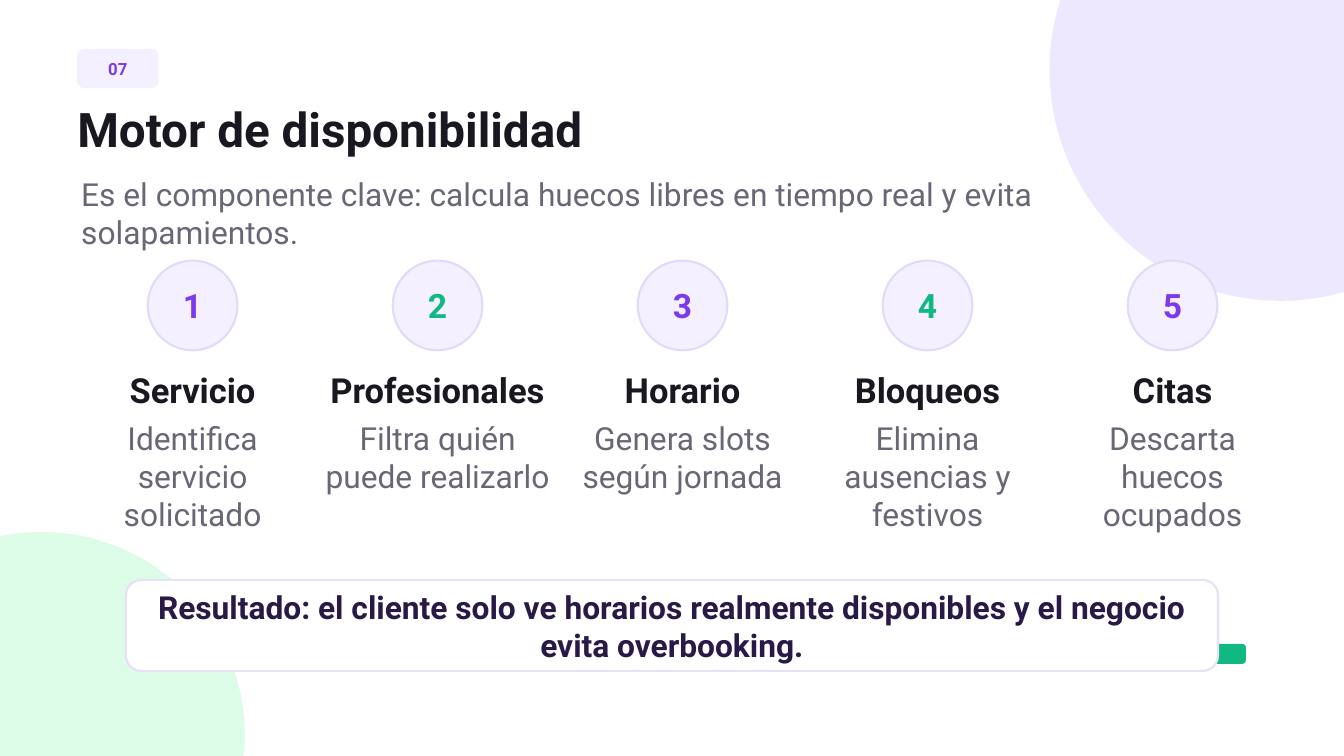
from lxml import etree
from pptx import Presentation
from pptx import util as u
from pptx.dml.color import RGBColor
from pptx.enum import shapes, text
from pptx.oxml.ns import qn

WHITE = RGBColor(0xFF, 0xFF, 0xFF)
INK = RGBColor(0x19, 0x18, 0x21)
GRAY = RGBColor(0x69, 0x67, 0x76)
PURPLE = RGBColor(0x7C, 0x3A, 0xED)
GREEN = RGBColor(0x10, 0xB9, 0x81)
DEEP_PURPLE = RGBColor(0x29, 0x19, 0x47)
LILAC = RGBColor(0xEE, 0xE8, 0xFF)
MINT = RGBColor(0xDC, 0xFC, 0xE7)
PALE = RGBColor(0xF4, 0xF0, 0xFF)
RING = RGBColor(0xE2, 0xDA, 0xF8)
CARD_LINE = RGBColor(0xE6, 0xE1, 0xF4)

STEPS = [
    ("Servicio", "Identifica servicio solicitado"),
    ("Profesionales", "Filtra quién puede realizarlo"),
    ("Horario", "Genera slots según jornada"),
    ("Bloqueos", "Elimina ausencias y festivos"),
    ("Citas", "Descarta huecos ocupados"),
]


def write(frame, words, size, color, bold=False, align=text.PP_ALIGN.LEFT,
          anchor=text.MSO_ANCHOR.TOP, inset=0, font="Roboto"):
    """Put one formatted paragraph into a text frame."""
    frame.word_wrap = True
    frame.auto_size = text.MSO_AUTO_SIZE.NONE
    frame.vertical_anchor = anchor
    frame.margin_left = frame.margin_right = u.Cm(inset)
    frame.margin_top = frame.margin_bottom = u.Cm(inset)
    paragraph = frame.paragraphs[0]
    paragraph.alignment = align
    paragraph.line_spacing = u.Pt(size * 1.2)
    paragraph.space_before = u.Pt(0)
    run = paragraph.add_run()
    run.text = words
    run.font.name = font
    run.font.size = u.Pt(size)
    run.font.bold = bold
    run.font.color.rgb = color
    return paragraph


class Deck:
    """Holds the presentation, its style and the current slide."""

    ROUNDING = 0.17
    LINE_WIDTH = 2.25

    def __init__(self):
        self.file = Presentation()
        self.file.slide_width = u.Cm(50.8)
        self.file.slide_height = u.Cm(50.8 * 9 / 16)
        self.slide = self.file.slides.add_slide(self.file.slide_layouts[1])

    def place(self, placeholder, box, words, **style):
        left, top, width, height = map(u.Cm, box)
        placeholder.left, placeholder.top = left, top
        placeholder.width, placeholder.height = width, height
        return write(placeholder.text_frame, words, **style)

    def title(self, box, words):
        self.place(self.slide.shapes.title, box, words,
                   size=51, color=INK, bold=True)

    def lead(self, box, words):
        paragraph = self.place(self.slide.placeholders[1], box, words,
                               size=34, color=GRAY)
        properties = paragraph._p.get_or_add_pPr()
        properties.set("marL", "0")
        properties.set("indent", "0")
        etree.SubElement(properties, qn("a:buNone"))

    def label(self, box, words, **style):
        area = self.slide.shapes.add_textbox(*map(u.Cm, box))
        write(area.text_frame, words, align=text.PP_ALIGN.CENTER, **style)

    def shape(self, kind, box, fill, line=None, words=None, **style):
        figure = self.slide.shapes.add_shape(kind, *map(u.Cm, box))
        figure.shadow.inherit = False
        figure.fill.solid()
        figure.fill.fore_color.rgb = fill
        if line is None:
            figure.line.fill.background()
        else:
            figure.line.color.rgb = line
            figure.line.width = u.Pt(self.LINE_WIDTH)
        if words:
            write(figure.text_frame, words, bold=True, inset=0.15,
                  align=text.PP_ALIGN.CENTER,
                  anchor=text.MSO_ANCHOR.MIDDLE, **style)
        return figure

    def circle(self, left, top, diameter, fill, **extra):
        self.shape(shapes.MSO_SHAPE.OVAL, (left, top, diameter, diameter),
                   fill, **extra)

    def rounded(self, box, fill, **extra):
        figure = self.shape(shapes.MSO_SHAPE.ROUNDED_RECTANGLE, box, fill, **extra)
        figure.adjustments[0] = self.ROUNDING

    def step(self, number, center, heading, detail):
        accent = PURPLE if number % 2 else GREEN
        diameter, width = 3.39, 8.64
        left = center - width / 2
        self.circle(center - diameter / 2, 9.85, diameter, PALE, line=RING,
                    words=str(number), size=36, color=accent)
        self.label((left, 13.95, width, 1.55), heading,
                   size=37, color=INK, bold=True)
        self.label((left, 15.82, width, 4.3), detail, size=34, color=GRAY)


def main():
    deck = Deck()

    # Background decoration
    deck.circle(39.67, -6.1, 17.47, LILAC)
    deck.circle(-6.1, 20.11, 15.35, MINT)
    deck.rounded((41.8, 24.34, 5.29, 0.75), GREEN)

    # Header
    deck.rounded((2.92, 1.85, 3.07, 1.48), PALE,
                 words="07", size=18, color=PURPLE)
    deck.title((2.92, 3.78, 40.2, 2.2), "Motor de disponibilidad")
    deck.lead((3.07, 6.6, 43.43, 2.9),
              "Es el componente clave: calcula huecos libres en tiempo real "
              "y evita solapamientos.")

    # Five steps on an even pitch
    first_center, pitch = 7.28, 9.26
    for index, (heading, detail) in enumerate(STEPS):
        deck.step(index + 1, first_center + index * pitch, heading, detail)

    # Result card
    deck.rounded((4.76, 21.92, 41.28, 3.44), WHITE, line=CARD_LINE,
                 words="Resultado: el cliente solo ve horarios realmente "
                       "disponibles y el negocio evita overbooking.",
                 size=34, color=DEEP_PURPLE)

    deck.file.save("out.pptx")


if __name__ == "__main__":
    main()
